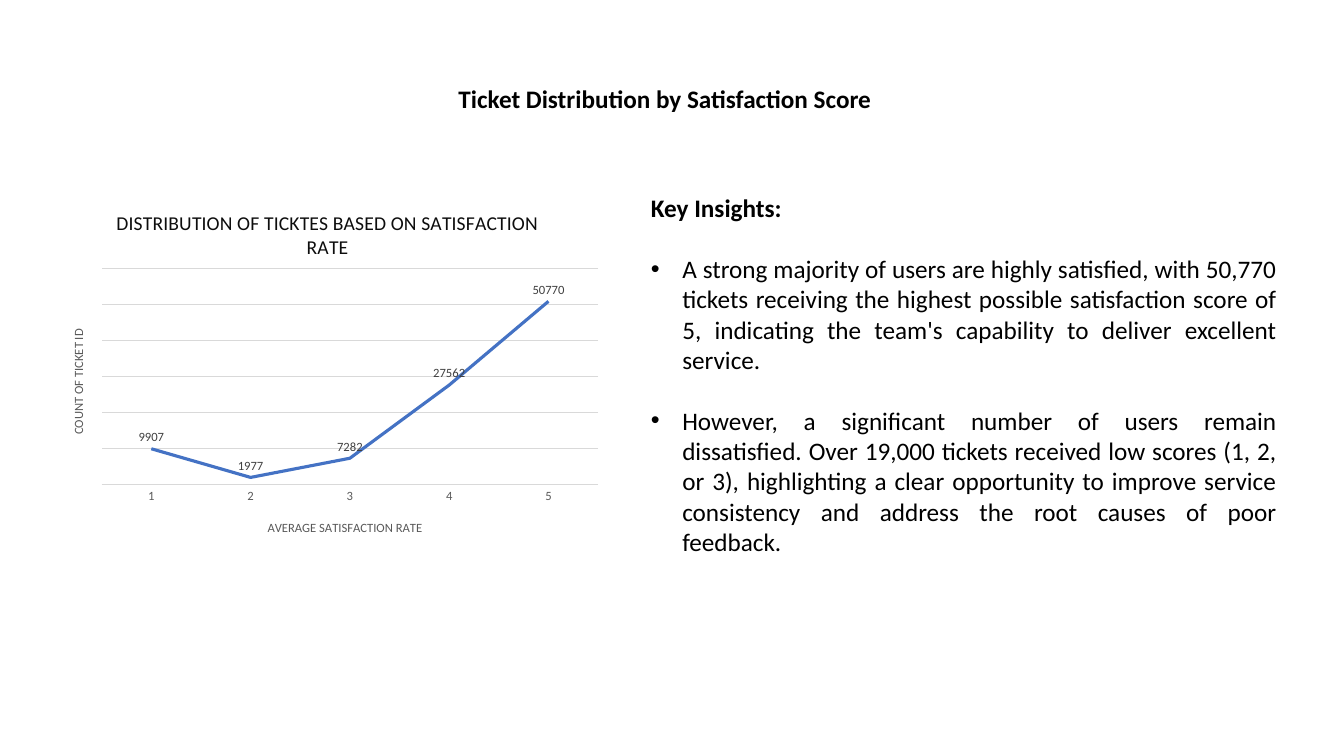
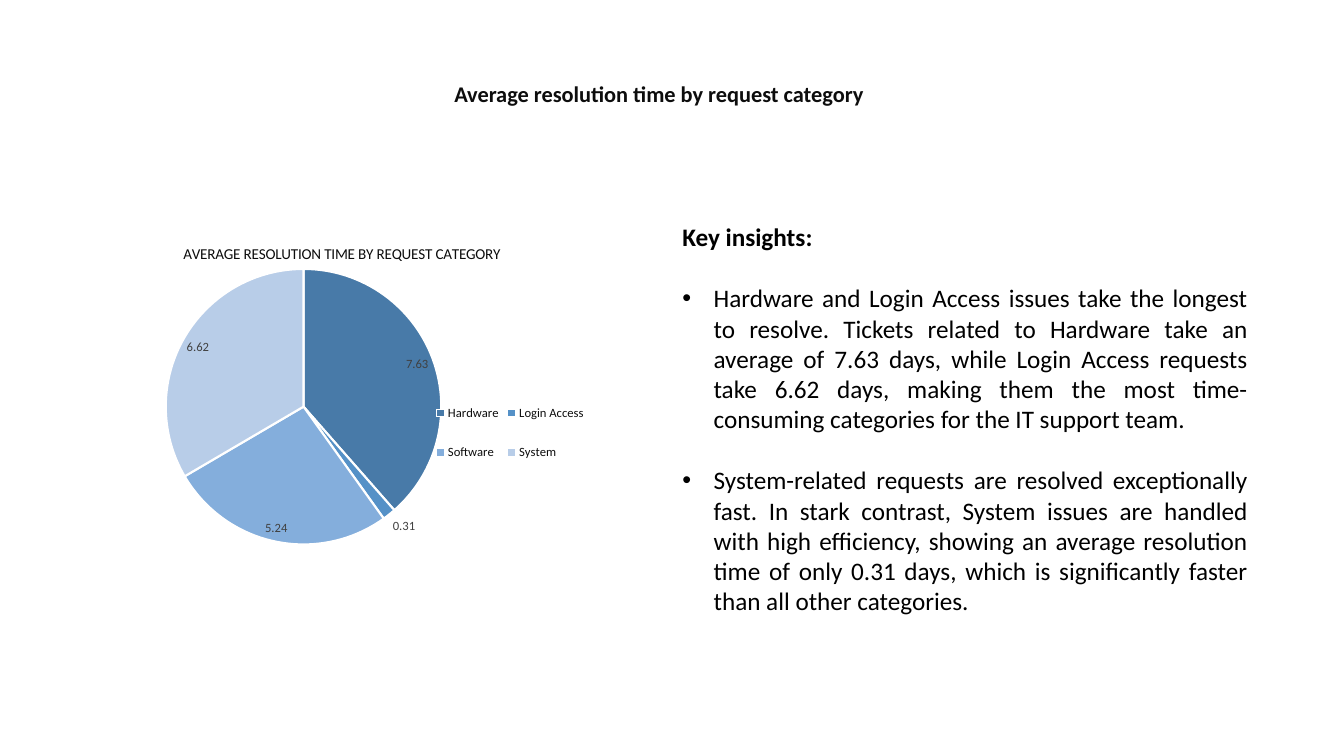
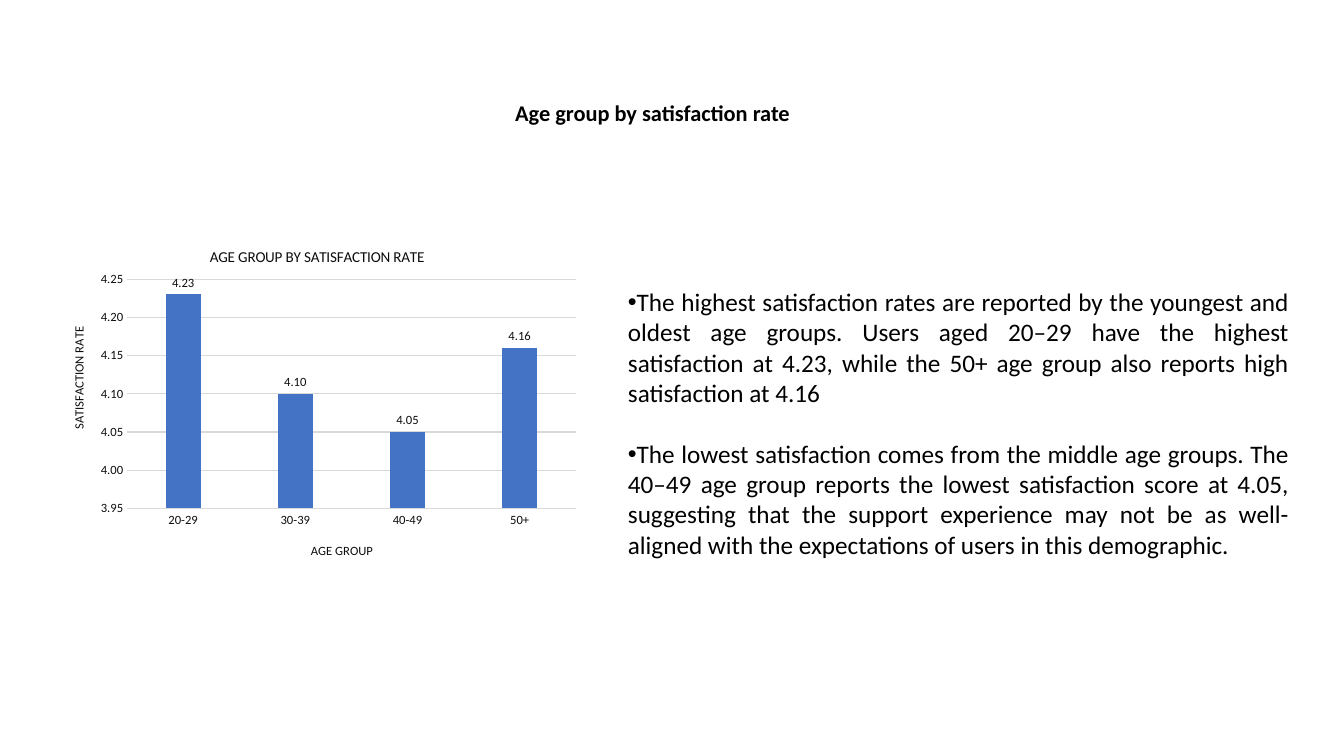
from pptx import Presentation
from pptx.chart.data import CategoryChartData
from pptx.dml.color import RGBColor
from pptx.enum.chart import XL_CHART_TYPE, XL_LABEL_POSITION, XL_LEGEND_POSITION, XL_TICK_MARK
from pptx.enum.text import MSO_ANCHOR, MSO_AUTO_SIZE, PP_ALIGN
from pptx.oxml import parse_xml
from pptx.oxml.ns import nsdecls, qn
from pptx.util import Cm, Pt

LINE, PIE, BAR = XL_CHART_TYPE.LINE, XL_CHART_TYPE.PIE, XL_CHART_TYPE.COLUMN_CLUSTERED
ABOVE, OUTER = XL_LABEL_POSITION.ABOVE, XL_LABEL_POSITION.OUTSIDE_END
RIGHT, NO_TICK = XL_LEGEND_POSITION.RIGHT, XL_TICK_MARK.NONE
LEFT, MID, FULL = PP_ALIGN.LEFT, PP_ALIGN.CENTER, PP_ALIGN.JUSTIFY
TOP, FIXED = MSO_ANCHOR.TOP, MSO_AUTO_SIZE.NONE

FONT = "Calibri"
HEX = {"black": "000000", "ink": "0D0D0D", "dark": "404040", "gray": "595959",
       "grid": "D9D9D9", "blue": "4472C4", "white": "FFFFFF"}
SLICES = ["487AA8", "5591C7", "84AEDC", "B8CDE8"]
RGB = {name: RGBColor.from_string(code) for name, code in HEX.items()}


def write(frame, text, size=18, color="black", bold=False, align=None, gap=0, dent=None, bullet=True):
    """Add one formatted paragraph to a text frame."""
    para = frame.paragraphs[0] if not frame.text else frame.add_paragraph()
    run = para.add_run()
    run.text = text
    run.font.name, run.font.size, run.font.bold = FONT, Pt(size), bold
    run.font.color.rgb = RGB[color]
    if align is not None:
        para.alignment = align
        para.line_spacing, para.space_before, para.space_after = 1.0, Pt(gap), Pt(0)
    if dent is not None:
        props = para._p.get_or_add_pPr()
        props.set("marL", str(Cm(dent)))
        props.set("indent", str(-Cm(dent)))
        if not bullet:
            props.append(parse_xml(f"<a:buNone {nsdecls('a')}/>"))


def place(node, *spot):
    """Set a chart part at fractions of the chart: left, top[, width, height]."""
    old = node.find(qn("c:layout"))
    if old is not None:
        node.remove(old)
    inner = '<c:layoutTarget val="inner"/>' if node.tag == qn("c:plotArea") else ""
    modes = '<c:xMode val="edge"/><c:yMode val="edge"/>'
    sides = "".join(f'<c:{key} val="{val}"/>' for key, val in zip("xywh", spot))
    first = node[0].tag in (qn("c:tx"), qn("c:legendPos"))
    node.insert(int(first), parse_xml(
        f"<c:layout {nsdecls('c')}><c:manualLayout>{inner}{modes}{sides}</c:manualLayout></c:layout>"))


# Slide contents
PAGES = [
    {"title": "Ticket Distribution by Satisfaction Score", "size": 18, "align": LEFT, "color": "black",
     "head": (11.3, 1.96, 16.94, 1.02), "body": (16.15, 4.72, 16.28, 9.5),
     "lead": "Key Insights:", "dent": 0.79,
     "list": ["A strong majority of users are highly satisfied, with 50,770 tickets receiving the highest "
              "possible satisfaction score of 5, indicating the team's capability to deliver excellent service.",
              "However, a significant number of users remain dissatisfied. Over 19,000 tickets received low "
              "scores (1, 2, or 3), highlighting a clear opportunity to improve service consistency and "
              "address the root causes of poor feedback."],
     "kind": LINE, "box": (1.14, 4.72, 14.22, 9.25), "plot": (0.1, 0.22, 0.88, 0.59),
     "name": ("DISTRIBUTION OF TICKTES BASED ON SATISFACTION RATE", 14, 0.12, 0.05),
     "cats": ["1", "2", "3", "4", "5"], "vals": [9907, 1977, 7282, 27562, 50770],
     "form": "General", "label": "dark", "pos": ABOVE, "tone": "gray",
     "axes": [("AVERAGE SATISFACTION RATE", 0.39, 0.9), ("COUNT OF TICKET ID", 0.04, 0.38)],
     "scale": (0, 60000, 10000)},
    {"title": "Average resolution time by request category", "size": 16, "align": MID, "color": "ink",
     "head": (7.49, 1.9, 18.24, 0.94), "body": (16.94, 5.46, 14.76, 11.02),
     "lead": "Key insights:", "dent": 0.79,
     "list": ["Hardware and Login Access issues take the longest to resolve. Tickets related to Hardware take "
              "an average of 7.63 days, while Login Access requests take 6.62 days, making them the most "
              "time-consuming categories for the IT support team.",
              "System-related requests are resolved exceptionally fast. In stark contrast, System issues are "
              "handled with high efficiency, showing an average resolution time of only 0.31 days, which is "
              "significantly faster than all other categories."],
     "kind": PIE, "box": (2.18, 5.46, 13.18, 8.79), "plot": (0.15, 0.15, 0.53, 0.79),
     "name": ("AVERAGE RESOLUTION TIME BY REQUEST CATEGORY", 10.8, 0.18, 0.07),
     "cats": ["Hardware", "Login Access", "Software", "System"], "vals": [7.63, 0.31, 5.24, 6.62],
     "form": "0.00", "label": "dark", "pos": None},
    {"title": "Age group by satisfaction rate", "size": 16, "align": LEFT, "color": "black",
     "head": (12.73, 2.36, 15.19, 0.94), "body": (15.57, 7.09, 17.17, 7.19),
     "lead": None, "dent": 0,
     "list": ["The highest satisfaction rates are reported by the youngest and oldest age groups. Users aged "
              "20–29 have the highest satisfaction at 4.23, while the 50+ age group also reports high "
              "satisfaction at 4.16",
              "The lowest satisfaction comes from the middle age groups. The 40–49 age group reports the "
              "lowest satisfaction score at 4.05, suggesting that the support experience may not be as "
              "well-aligned with the expectations of users in this demographic."],
     "kind": BAR, "box": (1.32, 5.72, 13.46, 8.76), "plot": (0.14, 0.15, 0.84, 0.66),
     "name": ("AGE GROUP BY SATISFACTION RATE", 10.8, 0.29, 0.05),
     "cats": ["20-29", "30-39", "40-49", "50+"], "vals": [4.23, 4.1, 4.05, 4.16],
     "form": "0.00", "label": "ink", "pos": OUTER, "tone": "ink",
     "axes": [("AGE GROUP", 0.48, 0.9), ("SATISFACTION RATE", 0.03, 0.28)],
     "scale": (3.95, 4.25, 0.05)},
]

deck = Presentation()
deck.slide_width, deck.slide_height = Cm(33.87), Cm(19.05)

for page in PAGES:
    slide = deck.slides.add_slide(deck.slide_layouts[1])

    # Title and list
    head, body = slide.shapes.title, slide.placeholders[1]
    for shape, key in ((head, "head"), (body, "body")):
        shape.left, shape.top, shape.width, shape.height = map(Cm, page[key])
        shape.text_frame.word_wrap = True
        shape.text_frame.auto_size = FIXED
        shape.text_frame.vertical_anchor = TOP
    write(head.text_frame, page["title"], size=page["size"], color=page["color"],
          bold=True, align=page["align"])
    if page["lead"]:
        write(body.text_frame, page["lead"], bold=True, align=FULL, dent=0, bullet=False)
    for item in page["list"]:
        gap = 22 if body.text_frame.text else 0
        write(body.text_frame, item, align=FULL, gap=gap, dent=page["dent"])

    # Chart with its title
    data = CategoryChartData(number_format=page["form"])
    data.categories = page["cats"]
    data.add_series("Series 1", page["vals"])
    chart = slide.shapes.add_chart(page["kind"], *map(Cm, page["box"]), data).chart
    chart.font.name, chart.font.size = FONT, Pt(9)
    chart.has_legend = page["kind"] == PIE
    chart.has_title = True
    text, size, *spot = page["name"]
    write(chart.chart_title.text_frame, text, size=size, color="ink")
    place(chart.chart_title._element, *spot)
    place(chart._chartSpace.chart.plotArea, *page["plot"])

    # Value labels
    plot = chart.plots[0]
    plot.vary_by_categories = page["kind"] == PIE
    plot.has_data_labels = True
    tags = plot.data_labels
    tags.show_value = True
    tags.number_format, tags.number_format_is_linked = page["form"], False
    tags.font.name, tags.font.size = FONT, Pt(9)
    tags.font.color.rgb = RGB[page["label"]]
    if page["pos"] is not None:
        tags.position = page["pos"]

    # Series colours
    row = plot.series[0]
    if page["kind"] == PIE:
        for i, code in enumerate(SLICES):
            part = row.points[i].format
            part.fill.solid()
            part.fill.fore_color.rgb = RGBColor.from_string(code)
            part.line.color.rgb = RGB["white"]
            part.line.width = Pt(1.5)
        key = chart.legend
        key.position, key.include_in_layout = RIGHT, False
        key.font.name, key.font.size = FONT, Pt(9)
        key.font.color.rgb = RGB["ink"]
        place(key._element, 0.66, 0.47, 0.3, 0.3)
        continue
    if page["kind"] == LINE:
        row.smooth = False
        row.format.line.color.rgb = RGB["blue"]
        row.format.line.width = Pt(2.25)
    else:
        row.format.fill.solid()
        row.format.fill.fore_color.rgb = RGB["blue"]
        plot.gap_width, plot.overlap = 219, -27

    # Axes
    base, side = chart.category_axis, chart.value_axis
    for axis, (text, *spot) in zip((base, side), page["axes"]):
        axis.has_title = True
        write(axis.axis_title.text_frame, text, size=9, color=page["tone"])
        place(axis.axis_title._element, *spot)
        axis.major_tick_mark = axis.minor_tick_mark = NO_TICK
        axis.tick_labels.font.name, axis.tick_labels.font.size = FONT, Pt(9)
        axis.tick_labels.font.color.rgb = RGB[page["tone"]]
    side.minimum_scale, side.maximum_scale, side.major_unit = page["scale"]
    side.tick_labels.number_format, side.tick_labels.number_format_is_linked = page["form"], False
    side.visible = page["kind"] == BAR
    side.format.line.fill.background()
    side.has_major_gridlines = True
    for rule in (base.format.line, side.major_gridlines.format.line):
        rule.color.rgb = RGB["grid"]
        rule.width = Pt(0.75)

deck.save("out.pptx")
